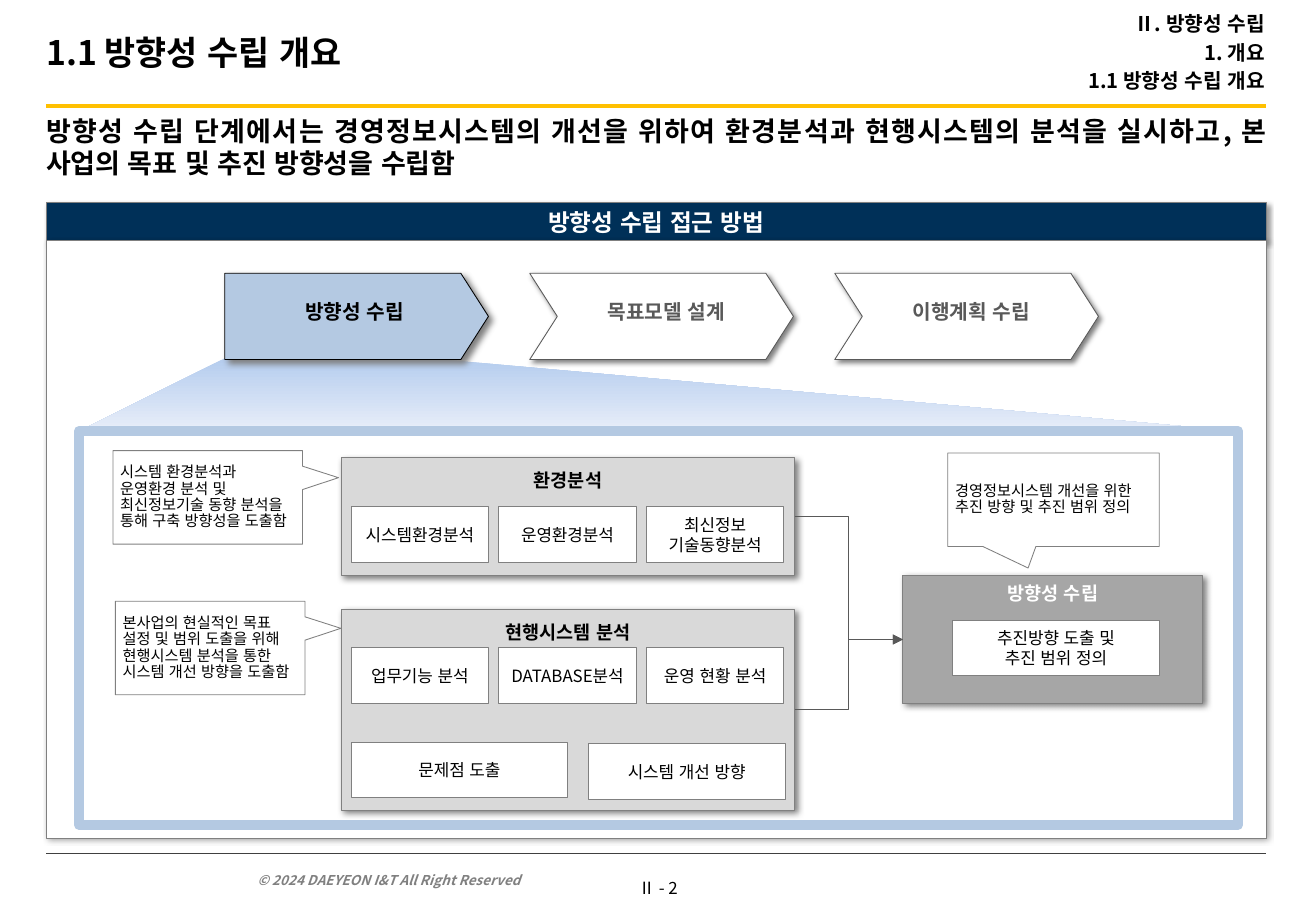
from pptx import Presentation
from pptx.dml.color import RGBColor
from pptx.enum.shapes import MSO_CONNECTOR, MSO_SHAPE
from pptx.enum.text import MSO_ANCHOR, PP_ALIGN
from pptx.oxml import parse_xml
from pptx.oxml.ns import nsdecls, qn
from pptx.util import Inches, Pt
from lxml.etree import SubElement

FONT = "Noto Sans CJK KR"
COLORS = {
    "black": "000000", "white": "FFFFFF", "navy": "003058", "gold": "FFC000",
    "blue": "B4C9E2", "beam_top": "B4CCEE", "beam_bottom": "E8EEF9",
    "pale": "D9D9D9", "mid": "A6A6A6", "edge": "808080",
    "muted": "595959", "rule": "404040",
}

# Text formats: frame, paragraph and font values
MARGINS = ("margin_left", "margin_top", "margin_right", "margin_bottom")
CARD_MARGINS = (0.04, 0.04, 0.04, 0.04)
HEAD_MARGINS = (0.04, 0.08, 0.04, 0.04)


def text_format(size, color="black", bold=False, italic=False, margins=(0.1, 0.05, 0.1, 0.05),
                anchor=MSO_ANCHOR.MIDDLE, wrap=True, align=PP_ALIGN.CENTER, spacing=1.0, gap=0):
    return {
        "frame": {"word_wrap": wrap, "vertical_anchor": anchor,
                  **{name: Inches(value) for name, value in zip(MARGINS, margins)}},
        "paragraph": {"alignment": align, "line_spacing": spacing},
        "font": {"name": FONT, "size": Pt(size), "bold": bold, "italic": italic},
        "color": color, "gap": gap,
    }


FORMATS = {
    "title": text_format(20, bold=True, margins=(0, 0.05, 0.1, 0.05), align=PP_ALIGN.LEFT),
    "path": text_format(12, bold=True, margins=(0, 0.05, 0, 0.05), align=PP_ALIGN.RIGHT, gap=2.4),
    "message": text_format(16, bold=True, margins=(0, 0, 0, 0), anchor=MSO_ANCHOR.TOP,
                           align=PP_ALIGN.JUSTIFY),
    "copyright": text_format(8, "edge", bold=True, italic=True, anchor=MSO_ANCHOR.BOTTOM,
                             align=PP_ALIGN.LEFT),
    "page": text_format(10, margins=(0.06, 0.05, 0.06, 0.05), anchor=MSO_ANCHOR.TOP, wrap=False),
    "banner": text_format(14, "white", bold=True),
    "stage_on": text_format(12, bold=True, margins=(0.08, 0, 0, 0.08), wrap=False),
    "stage_off": text_format(12, "muted", bold=True, margins=(0.08, 0, 0, 0.08), wrap=False),
    "group": text_format(11, bold=True, margins=HEAD_MARGINS, anchor=MSO_ANCHOR.TOP,
                         wrap=False, spacing=1.05),
    "result": text_format(11, "white", bold=True, margins=CARD_MARGINS, anchor=MSO_ANCHOR.TOP,
                          spacing=1.05),
    "card": text_format(10, margins=CARD_MARGINS),
    "note": text_format(9, margins=(0.06, 0.04, 0.06, 0.04), align=PP_ALIGN.LEFT, spacing=0.9),
}


def rgb(color):
    return RGBColor.from_string(COLORS[color])


def set_all(target, values):
    for name, value in values.items():
        setattr(target, name, value)


def write(shape, text, style):
    fmt = FORMATS[style]
    frame = shape.text_frame
    set_all(frame, fmt["frame"])
    frame.text = text
    for index, paragraph in enumerate(frame.paragraphs):
        set_all(paragraph, fmt["paragraph"])
        if index:
            paragraph.space_before = Pt(fmt["gap"])
        for run in paragraph.runs:
            set_all(run.font, fmt["font"])
            run.font.color.rgb = rgb(fmt["color"])
            properties = run._r.get_or_add_rPr()
            properties.set("lang", "ko-KR")
            SubElement(properties, qn("a:ea")).set("typeface", FONT)


def add_label(slide, box, text, style):
    label = slide.shapes.add_textbox(*map(Inches, box))
    write(label, text, style)


def add_shadow(shape, color, alpha, blur, distance):
    shape._element.spPr.append(parse_xml(
        f'<a:effectLst {nsdecls("a")}><a:outerShdw blurRad="{Pt(blur)}" dist="{Pt(distance)}" '
        f'dir="2700000" algn="tl" rotWithShape="0"><a:srgbClr val="{COLORS[color]}">'
        f'<a:alpha val="{alpha * 1000}"/></a:srgbClr></a:outerShdw></a:effectLst>'))


def add_block(slide, box, fill="white", text=None, style=None, kind=MSO_SHAPE.RECTANGLE,
              adjust=(), line="edge", width=0.5, shadow=None):
    block = slide.shapes.add_shape(kind, *map(Inches, box))
    for index, value in enumerate(adjust):
        block.adjustments[index] = value
    if fill:
        block.fill.solid()
        block.fill.fore_color.rgb = rgb(fill)
    else:
        block.fill.background()
    block.line.color.rgb = rgb(line)
    block.line.width = Pt(width)
    if shadow:
        add_shadow(block, *shadow)
    else:
        block.shadow.inherit = False
    if text:
        write(block, text, style)
    return block


def add_line(slide, kind, start, end, color, width):
    line = slide.shapes.add_connector(kind, *map(Inches, start + end))
    line.line.color.rgb = rgb(color)
    line.line.width = Pt(width)
    SubElement(line._element.spPr, qn("a:effectLst"))
    return line


def add_flow(slide, source, target):
    flow = add_line(slide, MSO_CONNECTOR.ELBOW, (0, 0), (1, 1), "muted", 0.5)
    flow.begin_connect(source, 3)
    flow.end_connect(target, 1)
    SubElement(flow.line._get_or_add_ln(), qn("a:tailEnd")).set("type", "triangle")


def add_beam(slide, points):
    (x, y), *others = [(Inches(x), Inches(y)) for x, y in points]
    builder = slide.shapes.build_freeform(x, y)
    builder.add_line_segments(others, close=True)
    beam = builder.convert_to_shape()
    beam.fill.gradient()
    beam.fill.gradient_angle = 270
    for stop, color, position in zip(beam.fill.gradient_stops, ("beam_top", "beam_bottom"), (0, 1)):
        stop.color.rgb = rgb(color)
        stop.position = position
    beam.line.fill.background()
    beam.shadow.inherit = False


def add_note(slide, box, text, pointer):
    add_block(slide, box, text=text, style="note", kind=MSO_SHAPE.RECTANGULAR_CALLOUT,
              adjust=pointer)


def main():
    deck = Presentation()
    deck.slide_width, deck.slide_height = Inches(10.83), Inches(7.5)
    slide = deck.slides.add_slide(deck.slide_layouts[5])
    left, width = 0.38, 10.04

    # Header and footer
    for y, color, weight in ((0.87, "gold", 2.5), (7.03, "rule", 0.5)):
        add_line(slide, MSO_CONNECTOR.STRAIGHT, (left, y), (left + width, y), color, weight)
    title = slide.shapes.title
    set_all(title, dict(zip(("left", "top", "width", "height"),
                            map(Inches, (left, 0, 9.06, 0.85)))))
    write(title, "1.1 방향성 수립 개요", "title")
    add_label(slide, (6.87, 0, 3.54, 0.86),
              "Ⅱ. 방향성 수립\n1. 개요\n1.1 방향성 수립 개요", "path")
    add_label(slide, (left, 0.94, width, 0.68),
              "방향성 수립 단계에서는 경영정보시스템의 개선을 위하여 환경분석과 현행시스템의 "
              "분석을 실시하고, 본 사업의 목표 및 추진 방향성을 수립함", "message")
    add_label(slide, (2.02, 7.09, 3.02, 0.27),
              "© 2024 DAEYEON I&T All Right Reserved", "copyright")
    add_label(slide, (5.12, 7.18, 0.59, 0.27), "Ⅱ - 2", "page")

    # Panel
    panel_shadow = ("black", 40, 3, 2)
    add_block(slide, (left, 1.67, width, 0.31), "navy", "방향성 수립 접근 방법", "banner",
              shadow=panel_shadow)
    add_block(slide, (left, 1.98, width, 4.92), shadow=panel_shadow)

    # Stages, with the first one opened into the detail frame
    add_beam(slide, [(3.43, 2.94), (1.87, 2.94), (0.65, 3.55), (10.19, 3.55)])
    add_block(slide, (0.65, 3.55, 9.54, 3.24), None, line="blue", width=6)
    stages = [
        ("방향성 수립", "stage_on", MSO_SHAPE.PENTAGON, 0.32, "blue", "black", 4, 3),
        ("목표모델 설계", "stage_off", MSO_SHAPE.CHEVRON, 0.32, "white", "muted", 3, 2),
        ("이행계획 수립", "stage_off", MSO_SHAPE.CHEVRON, 0.32, "white", "muted", 3, 2),
    ]
    for index, (name, style, kind, point, fill, line, blur, distance) in enumerate(stages):
        add_block(slide, (1.85 + 2.51 * index, 2.25, 2.17, 0.71), fill, name, style, kind,
                  (point,), line, shadow=("edge", 100, blur, distance))

    # Analysis groups and result
    group_shadow = ("edge", 100, 4, 2)
    environment = add_block(slide, (2.81, 3.77, 3.73, 0.97), "pale", "환경분석", "group",
                            shadow=group_shadow)
    current = add_block(slide, (2.81, 5.02, 3.73, 1.65), "pale", "현행시스템 분석", "group",
                        shadow=group_shadow)
    result = add_block(slide, (7.43, 4.74, 2.47, 1.05), "mid", "방향성 수립", "result",
                       shadow=group_shadow)

    # Cards
    card_rows = [
        (4.17, ("시스템환경분석", "운영환경분석", "최신정보\n기술동향분석")),
        (5.33, ("업무기능 분석", "DATABASE분석", "운영 현황 분석")),
    ]
    for top, names in card_rows:
        for column, name in enumerate(names):
            add_block(slide, (2.89 + 1.215 * column, top, 1.13, 0.46), text=name, style="card")
    for box, name in (((2.89, 6.11, 1.78, 0.46), "문제점 도출"),
                      ((4.84, 6.12, 1.62, 0.46), "시스템 개선 방향"),
                      ((7.84, 5.11, 1.7, 0.45), "추진방향 도출 및\n추진 범위 정의")):
        add_block(slide, box, text=name, style="card")

    # Notes
    add_note(slide, (0.93, 3.71, 1.56, 0.77),
             "시스템 환경분석과 운영환경 분석 및 최신정보기술 동향 분석을 통해 구축 방향성을 도출함",
             (0.69, -0.21))
    add_note(slide, (0.95, 4.95, 1.56, 0.77),
             "본사업의 현실적인 목표 설정 및 범위 도출을 위해 현행시스템 분석을 통한 "
             "시스템 개선 방향을 도출함", (0.69, -0.21))
    add_note(slide, (7.8, 3.73, 1.74, 0.77),
             "경영정보시스템 개선을 위한 추진 방향 및 추진 범위 정의", (-0.12, 0.73))

    # Flows into the result
    for source in (environment, current):
        add_flow(slide, source, result)

    deck.save("out.pptx")


if __name__ == "__main__":
    main()
